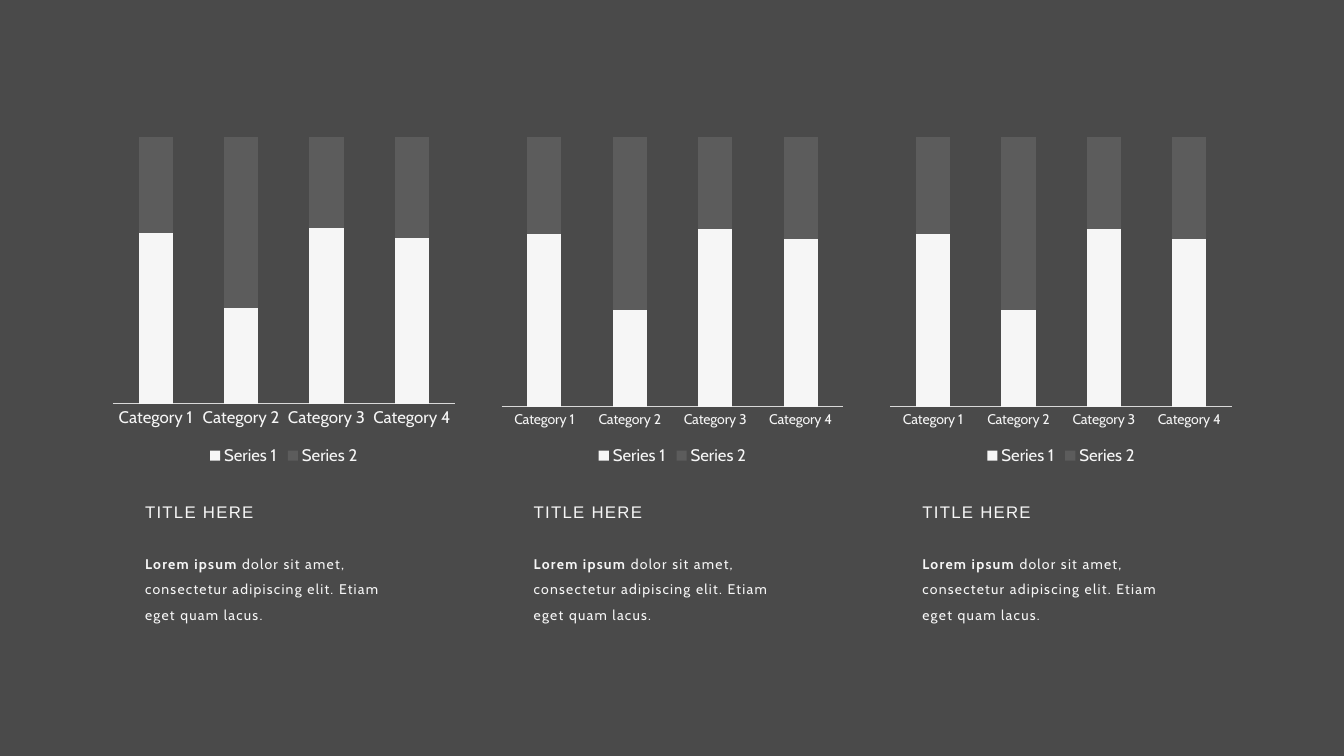
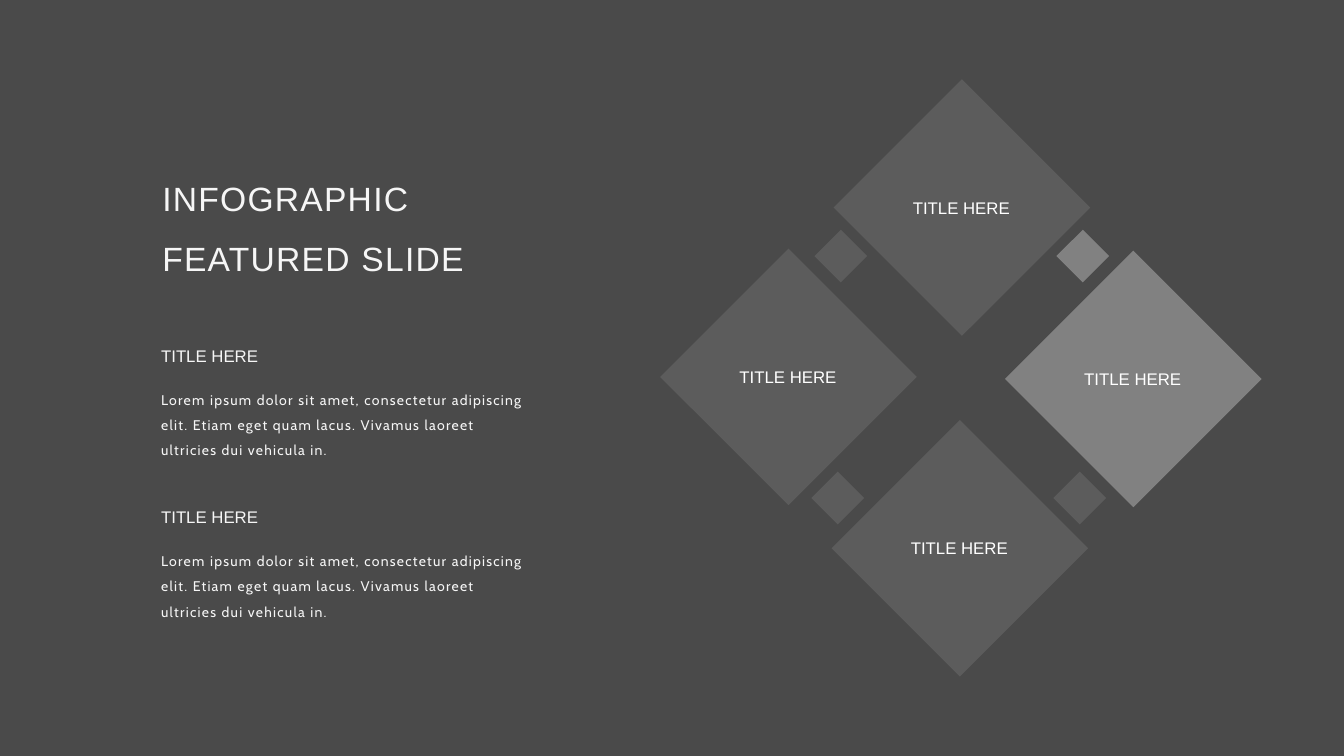
"""Build a dark two-slide deck: three stacked charts and a diamond infographic."""
from pptx import Presentation
from pptx.chart.data import CategoryChartData
from pptx.dml.color import RGBColor
from pptx.enum.chart import XL_CHART_TYPE, XL_LEGEND_POSITION, XL_TICK_MARK
from pptx.enum.shapes import MSO_SHAPE
from pptx.enum.text import MSO_ANCHOR, MSO_AUTO_SIZE, PP_ALIGN
from pptx.util import Inches, Pt

STACKED_100 = XL_CHART_TYPE.COLUMN_STACKED_100
LEGEND_BOTTOM = XL_LEGEND_POSITION.BOTTOM
NO_TICK = XL_TICK_MARK.NONE
RECT = MSO_SHAPE.RECTANGLE
TOP = MSO_ANCHOR.TOP
LEFT, CENTER = PP_ALIGN.LEFT, PP_ALIGN.CENTER
NO_FIT = MSO_AUTO_SIZE.NONE

BACK, LIGHT, WHITE = "4A4A4A", "F6F6F6", "FFFFFF"
DARK, MID, AXIS = "5C5C5C", "818181", "D9D9D9"
HEAD, BODY = "Arial", "Cabin"
LABEL = "TITLE HERE"


def rgb(color):
    return RGBColor.from_string(color)


def write(sp, box, paragraphs, size, font, color=LIGHT, align=LEFT, spaced=True, leading=1.5):
    sp.left, sp.top, sp.width, sp.height = [Inches(v) for v in box]
    tf = sp.text_frame
    tf.word_wrap = True
    tf.auto_size = NO_FIT
    tf.vertical_anchor = TOP
    for i, runs in enumerate(paragraphs):
        p = tf.add_paragraph() if i else tf.paragraphs[0]
        p.alignment = align
        p.line_spacing = leading
        p.space_before = Pt(0)
        p.font.size = Pt(size)
        p.font.name = font
        p.font.color.rgb = rgb(color)
        if spaced:
            p._p.pPr.defRPr.set("spc", "90")
        for text, bold in runs:
            r = p.add_run()
            r.text = text
            if bold:
                r.font.bold = True


prs = Presentation()
prs.slide_width, prs.slide_height = Inches(13.33), Inches(7.5)
fill = prs.slide_master.background.fill
fill.solid()
fill.fore_color.rgb = rgb(BACK)
title_only, blank = prs.slide_layouts[5], prs.slide_layouts[6]

s = prs.slides.add_slide(blank)
data = CategoryChartData()
data.categories = [f"Category {n}" for n in range(1, 5)]
data.add_series("Series 1", (64, 36, 66, 62))
data.add_series("Series 2", (36, 64, 34, 38))

for col, axis_size in enumerate((12, 10, 10)):
    x = 1.05 + 3.855 * col
    chart = s.shapes.add_chart(STACKED_100, Inches(x), Inches(1.29),
                               Inches(3.53), Inches(3.37), data).chart
    chart.has_title = False
    chart.font.name, chart.font.size = BODY, Pt(12)
    chart.font.color.rgb = rgb(LIGHT)
    chart.has_legend = True
    chart.legend.position = LEGEND_BOTTOM
    chart.legend.include_in_layout = False
    chart.value_axis.visible = False
    chart.value_axis.has_major_gridlines = False
    axis = chart.category_axis
    axis.major_tick_mark = axis.minor_tick_mark = NO_TICK
    axis.tick_labels.font.size = Pt(axis_size)
    axis.format.line.color.rgb = rgb(AXIS)
    axis.format.line.width = Pt(0.75)
    plot = chart.plots[0]
    plot.gap_width, plot.overlap = 150, 100
    plot.vary_by_categories = False
    for series, color in zip(plot.series, (LIGHT, DARK)):
        series.format.fill.solid()
        series.format.fill.fore_color.rgb = rgb(color)

    text_x = x + 0.29
    write(s.shapes.add_textbox(0, 0, 0, 0), (text_x, 4.83, 2.39, 0.37), [[(LABEL, False)]], 12, HEAD)
    write(s.shapes.add_textbox(0, 0, 0, 0), (text_x, 5.38, 2.73, 0.83),
          [[("Lorem ipsum ", True),
            ("dolor sit amet, consectetur adipiscing elit. Etiam eget quam lacus.", False)]],
          10, BODY)

s = prs.slides.add_slide(title_only)
write(s.shapes.title, (1.51, 1.51, 3.47, 1.25),
      [[("INFOGRAPHIC", False)], [("FEATURED SLIDE", False)]], 24, HEAD)

diamonds = [(7.82, 3.74, DARK), (9.54, 2.06, DARK), (9.52, 5.44, DARK), (11.24, 3.76, MID)]
accents = [(8.31, 4.94, DARK), (8.34, 2.54, DARK), (10.71, 4.94, DARK), (10.74, 2.54, MID)]
for side, angle, group in ((1.8, 45, diamonds), (0.37, 315, accents)):
    for cx, cy, color in group:
        sp = s.shapes.add_shape(RECT, Inches(cx - side / 2), Inches(cy - side / 2),
                                Inches(side), Inches(side))
        sp.rotation = angle
        sp.shadow.inherit = False
        sp.fill.solid()
        sp.fill.fore_color.rgb = rgb(color)
        sp.line.fill.background()

for cx, cy, color in diamonds:
    write(s.shapes.add_textbox(0, 0, 0, 0), (cx - 1.08, cy - 0.15, 2.15, 0.3),
          [[(LABEL, False)]], 12, HEAD, WHITE, CENTER, spaced=False, leading=1.0)

for y in (3.38, 4.98):
    write(s.shapes.add_textbox(0, 0, 0, 0), (1.5, y, 1.87, 0.3),
          [[(LABEL, False)]], 12, HEAD, spaced=False, leading=1.0)
    write(s.shapes.add_textbox(0, 0, 0, 0), (1.5, y + 0.37, 3.79, 0.83),
          [[("Lorem ipsum dolor sit amet, consectetur adipiscing elit. Etiam eget quam lacus. "
             "Vivamus laoreet ultricies dui vehicula in.", False)]], 10, BODY)

prs.save("out.pptx")
